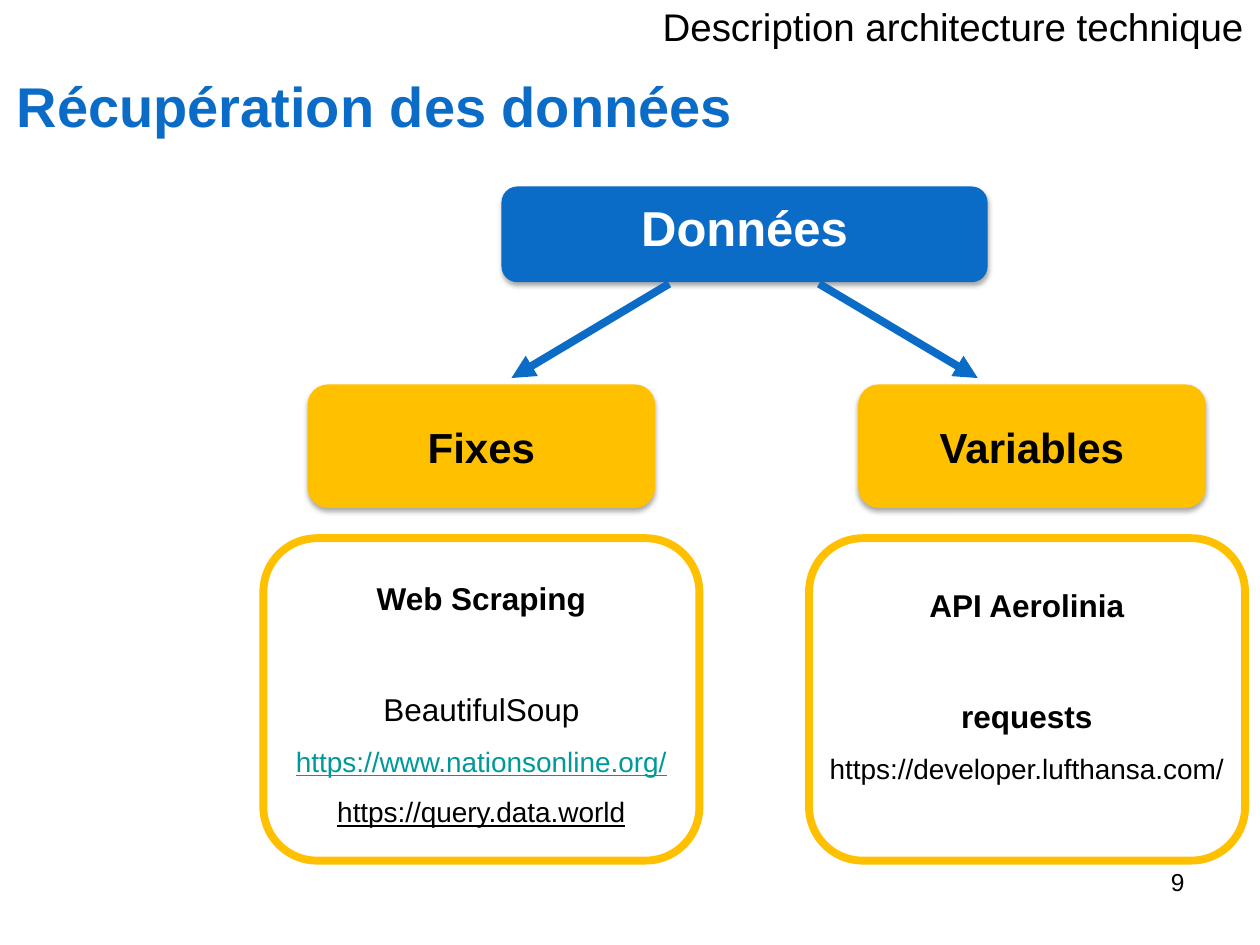
import pptx
import pptx.dml.color
import pptx.enum.shapes
import pptx.enum.text
import pptx.oxml
import pptx.oxml.ns
import pptx.util
from pptx.util import Cm

BLUE = pptx.dml.color.RGBColor(0x0A, 0x6C, 0xC6)
AMBER = pptx.dml.color.RGBColor(0xFF, 0xC0, 0x00)
TEAL = pptx.dml.color.RGBColor(0x00, 0x99, 0x99)
BLACK = pptx.dml.color.RGBColor(0, 0, 0)
WHITE = pptx.dml.color.RGBColor(0xFF, 0xFF, 0xFF)
ALIGN = pptx.enum.text.PP_ALIGN
ANCHOR = pptx.enum.text.MSO_ANCHOR
ROUNDED = pptx.enum.shapes.MSO_SHAPE.ROUNDED_RECTANGLE
NAMESPACE = pptx.oxml.ns.nsdecls("a")
SHADOW = (f'<a:outerShdw {NAMESPACE} blurRad="39370" dist="22860" dir="5400000" rotWithShape="0">'
          '<a:srgbClr val="000000"><a:alpha val="35000"/></a:srgbClr></a:outerShdw>')


def write(shape, text, size, color=BLACK, bold=False, underline=False,
          align=ALIGN.CENTER, spacing=1.0, before=0, anchor=ANCHOR.TOP):
    """Add a paragraph, using the first one while the shape is still empty."""
    frame = shape.text_frame
    frame.word_wrap = True
    frame.vertical_anchor = anchor
    paragraph = frame.add_paragraph() if frame.text else frame.paragraphs[0]
    paragraph.alignment = align
    paragraph.line_spacing = spacing
    paragraph.space_before = pptx.util.Pt(before)
    run = paragraph.add_run()
    run.text = text
    run.font.name = "Arial"
    run.font.size = pptx.util.Pt(size)
    run.font.bold = bold
    run.font.underline = underline
    run.font.color.rgb = color


def add_rounded(left, top, width, height, fill=None):
    """Add a filled box with a soft shadow, or an amber outline without fill."""
    shape = slide.shapes.add_shape(ROUNDED, Cm(left), Cm(top), Cm(width), Cm(height))
    shape.shadow.inherit = False
    if fill is None:
        shape.fill.background()
        shape.line.color.rgb = AMBER
        shape.line.width = pptx.util.Pt(4.5)
    else:
        shape.fill.solid()
        shape.fill.fore_color.rgb = fill
        shape.line.fill.background()
        effects = shape._element.spPr.find(pptx.oxml.ns.qn("a:effectLst"))
        effects.append(pptx.oxml.parse_xml(SHADOW))
    return shape


presentation = pptx.Presentation()
presentation.slide_width = Cm(25.4)
presentation.slide_height = Cm(19.05)
slide = presentation.slides.add_slide(presentation.slide_layouts[5])

# Headings and page number
title = slide.shapes.title
title.left, title.top, title.width, title.height = Cm(0.08), Cm(1.32), Cm(19), Cm(2.49)
title.text_frame.auto_size = pptx.enum.text.MSO_AUTO_SIZE.NONE
write(title, "Récupération des données", 32, BLUE, bold=True, align=ALIGN.LEFT)

section = slide.shapes.add_textbox(Cm(13.11), Cm(0), Cm(12.29), Cm(1.04))
section.text_frame.margin_top = section.text_frame.margin_bottom = 0
write(section, "Description architecture technique", 22, align=ALIGN.LEFT, anchor=ANCHOR.MIDDLE)

page_number = slide.shapes.add_textbox(Cm(18.21), Cm(17.35), Cm(5.92), Cm(1.32))
write(page_number, "9", 14, align=ALIGN.RIGHT)

# Tree of data kinds
data_box = add_rounded(10.11, 3.76, 9.8, 1.93, BLUE)
write(data_box, "Données", 28, WHITE, bold=True)

for left, label in ((6.2, "Fixes"), (17.3, "Variables")):
    kind_box = add_rounded(left, 7.75, 7.01, 2.49, AMBER)
    write(kind_box, label, 24, bold=True, spacing=1.5)

for start, end in ((13.49, 10.31), (16.51, 19.71)):
    arrow = slide.shapes.add_connector(pptx.enum.shapes.MSO_CONNECTOR.STRAIGHT,
                                       Cm(start), Cm(5.72), Cm(end), Cm(7.62))
    arrow.line.color.rgb = BLUE
    arrow.line.width = pptx.util.Pt(4.5)
    arrow.line._get_or_add_ln().append(
        pptx.oxml.parse_xml(f'<a:tailEnd {NAMESPACE} type="triangle"/>'))
    arrow._element.spPr.append(pptx.oxml.parse_xml(f"<a:effectLst {NAMESPACE}/>"))

# Sources of each kind
fixed_sources, variable_frame = [add_rounded(left, 10.85, 8.79, 6.5) for left in (5.31, 16.31)]
variable_sources = slide.shapes.add_textbox(Cm(15.95), Cm(11.3), Cm(9.5), Cm(4.62))

write(fixed_sources, "Web Scraping", 18, bold=True, spacing=1.5)
write(fixed_sources, "BeautifulSoup", 18, spacing=1.5, before=31)
write(fixed_sources, "https://www.nationsonline.org/", 16, TEAL, underline=True, spacing=1.5)
write(fixed_sources, "https://query.data.world", 16, underline=True, spacing=1.5)

write(variable_sources, "API Aerolinia", 18, bold=True, spacing=1.5)
write(variable_sources, "requests", 18, bold=True, spacing=1.5, before=31)
write(variable_sources, "https://developer.lufthansa.com/", 16, spacing=1.5)

presentation.save("out.pptx")
